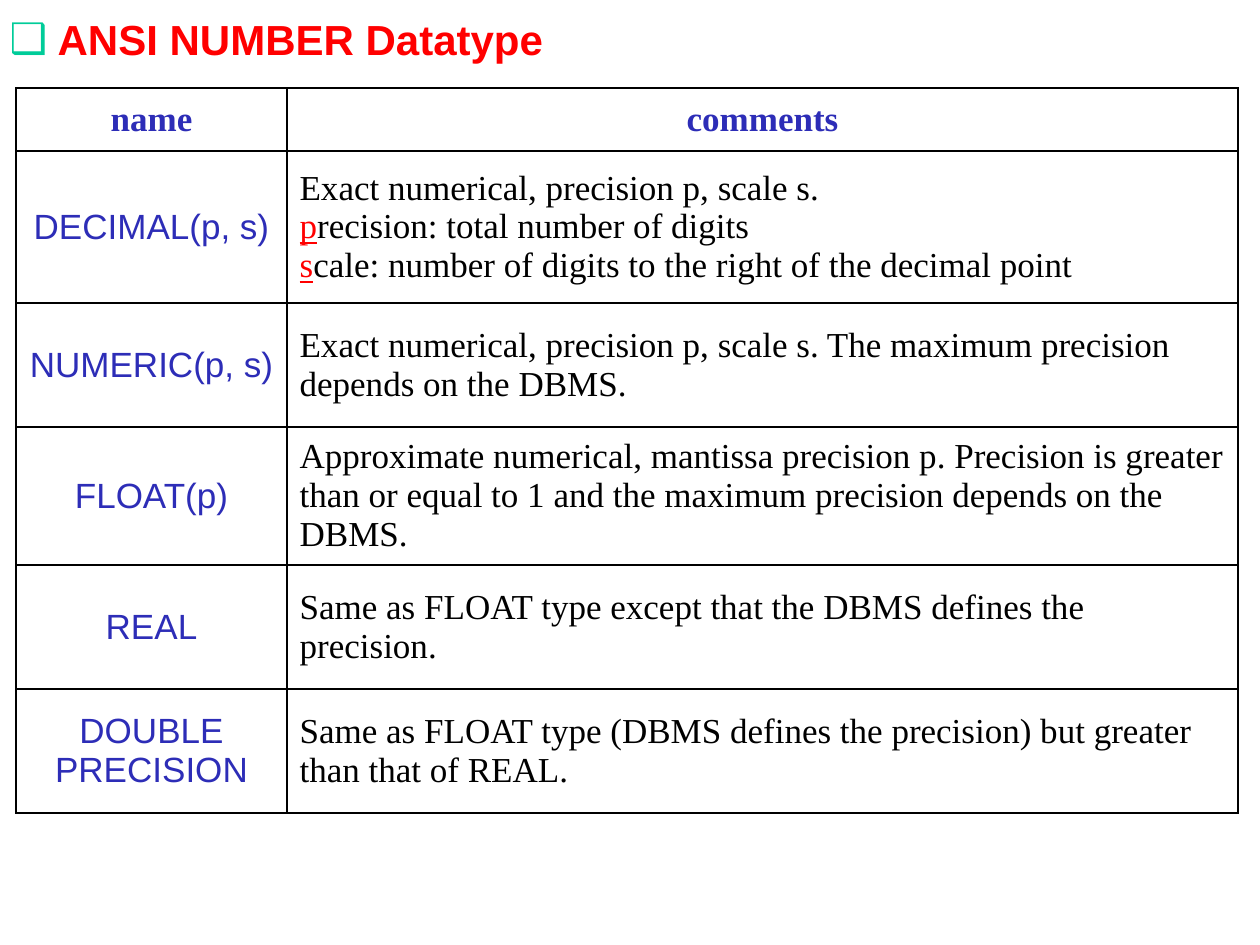
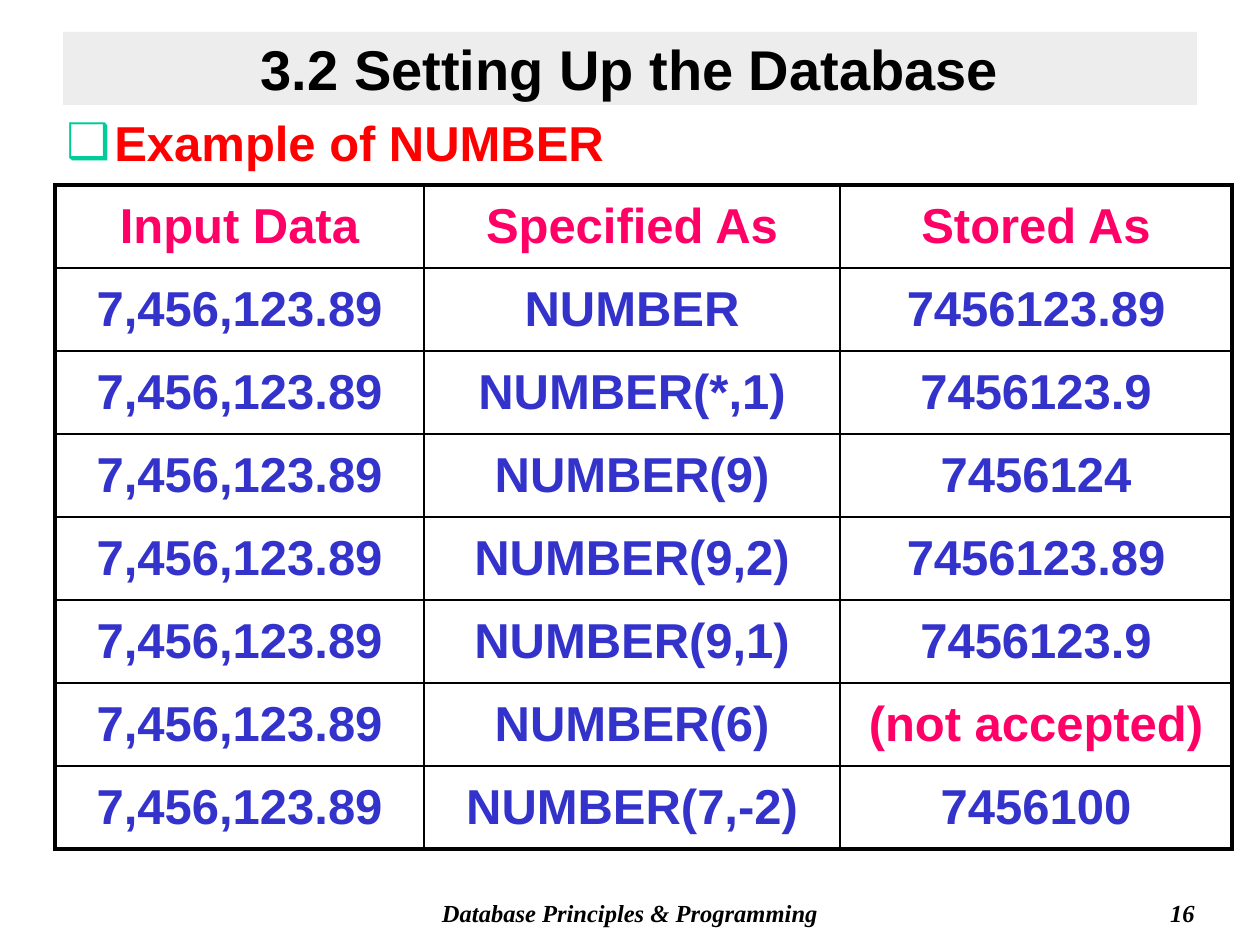
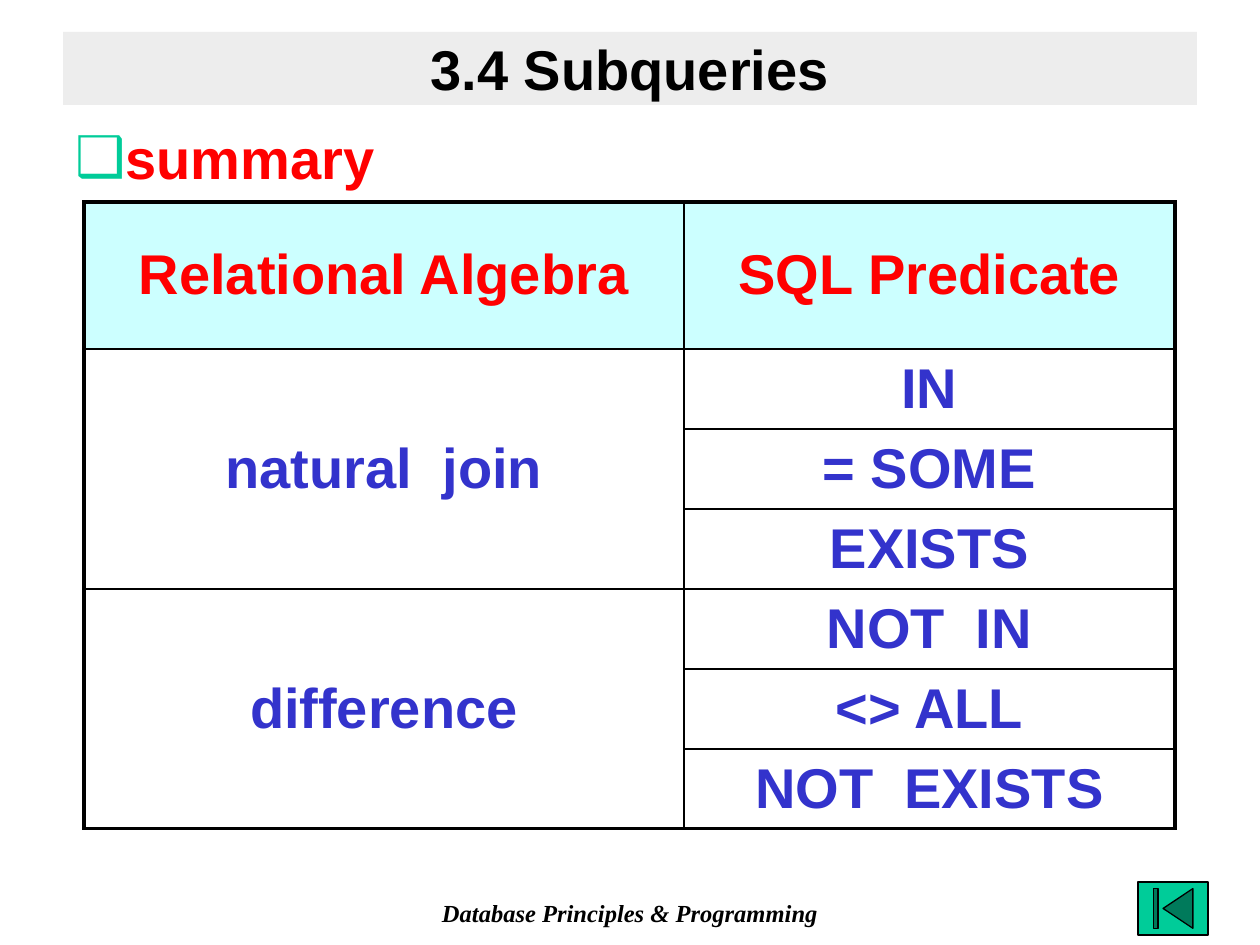
from dataclasses import dataclass, replace

from lxml import etree
from pptx import Presentation
from pptx import util as u
from pptx.dml.color import RGBColor
from pptx.enum import shapes, text
from pptx.oxml import ns

SCALE = u.Inches(1) / 126
LEFT, CENTER, RIGHT = text.PP_ALIGN.LEFT, text.PP_ALIGN.CENTER, text.PP_ALIGN.RIGHT
TOP, MIDDLE = text.MSO_ANCHOR.TOP, text.MSO_ANCHOR.MIDDLE


def px(length):
    return u.Emu(round(length * SCALE))


def rgb(color):
    return RGBColor.from_string(color)


def add_xml(parent, tag, **attributes):
    return etree.SubElement(parent, ns.qn(tag), attributes)


@dataclass(frozen=True)
class Ink:
    size: int
    font: str = "Arial"
    color: str = "000000"
    bold: bool = True
    italic: bool = False
    align: int = CENTER


class Theme:
    black, white, band = "000000", "FFFFFF", "DDDDDD"
    red, pink, blue, navy = "FF0000", "FF0066", "3333CC", "2D2DB7"
    green, cyan = "00CC99", "CCFFFF"
    serif = "Times New Roman"
    thin, thick = 1, 2.25
    title = Ink(32)
    heading = Ink(28, color=red, align=LEFT)
    footer = Ink(14, serif, italic=True)
    type_head = Ink(20, serif, navy)
    type_name = Ink(20, color=navy, bold=False)
    type_note = Ink(20, serif, bold=False, align=LEFT)
    number_head = Ink(28, color=pink)
    number_cell = Ink(28, color=blue)
    summary_head = Ink(32, color=red)
    summary_cell = Ink(32, color=blue)


class Slides:
    def __init__(self):
        self.deck = Presentation()
        self.deck.slide_width, self.deck.slide_height = px(1260), px(945)
        self.page = None

    def new_page(self):
        self.page = self.deck.slides.add_slide(self.deck.slide_layouts[5])

    # Text
    def fill_text(self, frame, content, ink):
        """Set paragraphs; a pair is a red underlined initial and the rest."""
        frame.word_wrap = True
        paragraphs = content if isinstance(content, list) else [content]
        for index, words in enumerate(paragraphs):
            para = frame.add_paragraph() if index else frame.paragraphs[0]
            para.alignment = ink.align
            font = para.font
            font.size, font.name = u.Pt(ink.size), ink.font
            font.bold, font.italic = ink.bold, ink.italic
            font.color.rgb = rgb(ink.color)
            if isinstance(words, tuple):
                initial, words = words
                span = para.add_run()
                span.text = initial
                span.font.underline = True
                span.font.color.rgb = rgb(Theme.red)
            para.add_run().text = words

    def place(self, box, area, anchor=TOP):
        box.left, box.top, box.width, box.height = map(px, area)
        box.text_frame.auto_size = text.MSO_AUTO_SIZE.NONE
        box.text_frame.vertical_anchor = anchor

    def textbox(self, area, words, ink):
        box = self.page.shapes.add_textbox(*map(px, area))
        self.place(box, area)
        self.fill_text(box.text_frame, words, ink)
        return box

    def title(self, words):
        box = self.page.shapes.title
        self.place(box, (63, 32, 1134, 73), MIDDLE)
        box.fill.solid()
        box.fill.fore_color.rgb = rgb(Theme.band)
        color = box.element.spPr.find(".//" + ns.qn("a:srgbClr"))
        add_xml(color, "a:alpha", val="50000")
        self.fill_text(box.text_frame, words, Theme.title)

    def heading(self, area, words, size, as_title=False, spacing=1.0, fill=None):
        ink = replace(Theme.heading, size=size)
        if as_title:
            box = self.page.shapes.title
            self.place(box, area)
            self.fill_text(box.text_frame, words, ink)
        else:
            box = self.textbox(area, words, ink)
        if fill:
            box.fill.solid()
            box.fill.fore_color.rgb = rgb(fill)
        para = box.text_frame.paragraphs[0]
        para.line_spacing, para.space_before = spacing, u.Pt(3.6)
        # Hanging bullet, ahead of the paragraph's font
        properties = para._p.get_or_add_pPr()
        properties.set("marL", str(px(48)))
        properties.set("indent", str(-px(48)))
        font = properties.find(ns.qn("a:defRPr"))
        bullet_color = add_xml(properties, "a:buClr")
        add_xml(bullet_color, "a:srgbClr", val=Theme.green)
        add_xml(properties, "a:buFont", typeface="Arial")
        add_xml(properties, "a:buChar", char="❑")
        properties.append(font)

    def footer(self, number=None):
        self.textbox((357, 892, 546, 42), "Database Principles & Programming", Theme.footer)
        if number:
            self.textbox((945, 892, 262, 42), number, replace(Theme.footer, align=RIGHT))

    # Tables
    def table(self, corner, columns, heights, rows, ink_of, outer, head_fill=None, merges=()):
        frame = self.page.shapes.add_table(
            len(rows), len(columns), *map(px, (*corner, sum(columns), sum(heights))))
        table = frame.table
        table.first_row = table.horz_banding = False
        for column, width in zip(table.columns, columns):
            column.width = px(width)
        for row, height in zip(table.rows, heights):
            row.height = px(height)
        for first, last, column in merges:
            table.cell(first, column).merge(table.cell(last, column))
        for r, row in enumerate(rows):
            for c, content in enumerate(row):
                cell = table.cell(r, c)
                if head_fill and r == 0:
                    cell.fill.solid()
                    cell.fill.fore_color.rgb = rgb(head_fill)
                else:
                    cell.fill.background()
                cell.vertical_anchor = MIDDLE
                if content:
                    self.fill_text(cell.text_frame, content, ink_of(r, c, content))
                bottom = r + (cell.span_height if cell.is_merge_origin else 1)
                edges = {"a:lnL": c == 0, "a:lnR": c == len(columns) - 1}
                if not cell.is_spanned:
                    edges["a:lnT"] = r == 0
                if not cell.is_spanned or bottom == len(rows):
                    edges["a:lnB"] = bottom == len(rows)
                self.borders(cell, edges, outer)

    def borders(self, cell, edges, outer):
        properties = cell._tc.get_or_add_tcPr()
        for index, (tag, is_outer) in enumerate(edges.items()):
            width = u.Pt(outer if is_outer else Theme.thin)
            line = etree.Element(ns.qn(tag), w=str(width))
            add_xml(add_xml(line, "a:solidFill"), "a:srgbClr", val=Theme.black)
            properties.insert(index, line)

    # Navigation
    def start_button(self, area):
        button = self.page.shapes.add_shape(
            shapes.MSO_SHAPE.ACTION_BUTTON_BEGINNING, *map(px, area))
        button.shadow.inherit = False
        button.fill.solid()
        button.fill.fore_color.rgb = rgb(Theme.green)
        button.line.color.rgb = rgb(Theme.black)
        button.line.width = u.Pt(0.75)


slides = Slides()

# Slide 1: standard number types
slides.new_page()
slides.heading((-3, -3, 1268, 73), "ANSI NUMBER Datatype", 24, as_title=True, spacing=1.2)
number_types = [
    ("name", "comments"),
    ("DECIMAL(p, s)", [
        "Exact numerical, precision p, scale s.",
        ("p", "recision: total number of digits"),
        ("s", "cale: number of digits to the right of the decimal point")]),
    ("NUMERIC(p, s)", "Exact numerical, precision p, scale s. "
                      "The maximum precision depends on the DBMS."),
    ("FLOAT(p)", "Approximate numerical, mantissa precision p. Precision is greater than "
                 "or equal to 1 and the maximum precision depends on the DBMS."),
    ("REAL", "Same as FLOAT type except that the DBMS defines the precision."),
    ("DOUBLE PRECISION", "Same as FLOAT type (DBMS defines the precision) "
                         "but greater than that of REAL."),
]


def type_ink(row, column, content):
    if row == 0:
        return Theme.type_head
    return Theme.type_note if column else Theme.type_name


slides.table((16, 88), (271, 951), (63, 152, 124, 138, 124, 124),
             number_types, type_ink, Theme.thin)

# Slide 2: how a number is stored
slides.new_page()
slides.title("3.2 Setting Up the Database")
slides.heading((54, 106, 1171, 78), "Example of NUMBER", 28, fill=Theme.white)
stored = [
    ("NUMBER", "7456123.89"),
    ("NUMBER(*,1)", "7456123.9"),
    ("NUMBER(9)", "7456124"),
    ("NUMBER(9,2)", "7456123.89"),
    ("NUMBER(9,1)", "7456123.9"),
    ("NUMBER(6)", "(not accepted)"),
    ("NUMBER(7,-2)", "7456100"),
]
number_rows = [("Input Data", "Specified As", "Stored As")]
number_rows += [("7,456,123.89", *pair) for pair in stored]


def number_ink(row, column, content):
    special = row == 0 or content == "(not accepted)"
    return Theme.number_head if special else Theme.number_cell


slides.table((55, 185), (369, 416, 392), [83] * len(number_rows),
             number_rows, number_ink, Theme.thick, head_fill=Theme.white)
slides.footer("16")

# Slide 3: algebra and predicates
slides.new_page()
slides.title("3.4 Subqueries")
slides.heading((63, 117, 1134, 73), "summary", 32)
summary = [
    ("Relational Algebra", "SQL Predicate"),
    ("natural  join", "IN"),
    (None, "= SOME"),
    (None, "EXISTS"),
    ("difference", "NOT  IN"),
    (None, "<> ALL"),
    (None, "NOT  EXISTS"),
]


def summary_ink(row, column, content):
    return Theme.summary_cell if row else Theme.summary_head


slides.table((84, 202), (600, 491), [147] + [80] * 6, summary, summary_ink,
             Theme.thick, head_fill=Theme.cyan, merges=((1, 3, 0), (4, 6, 0)))
slides.footer()
slides.start_button((1138, 882, 70, 53))

slides.deck.save("out.pptx")
